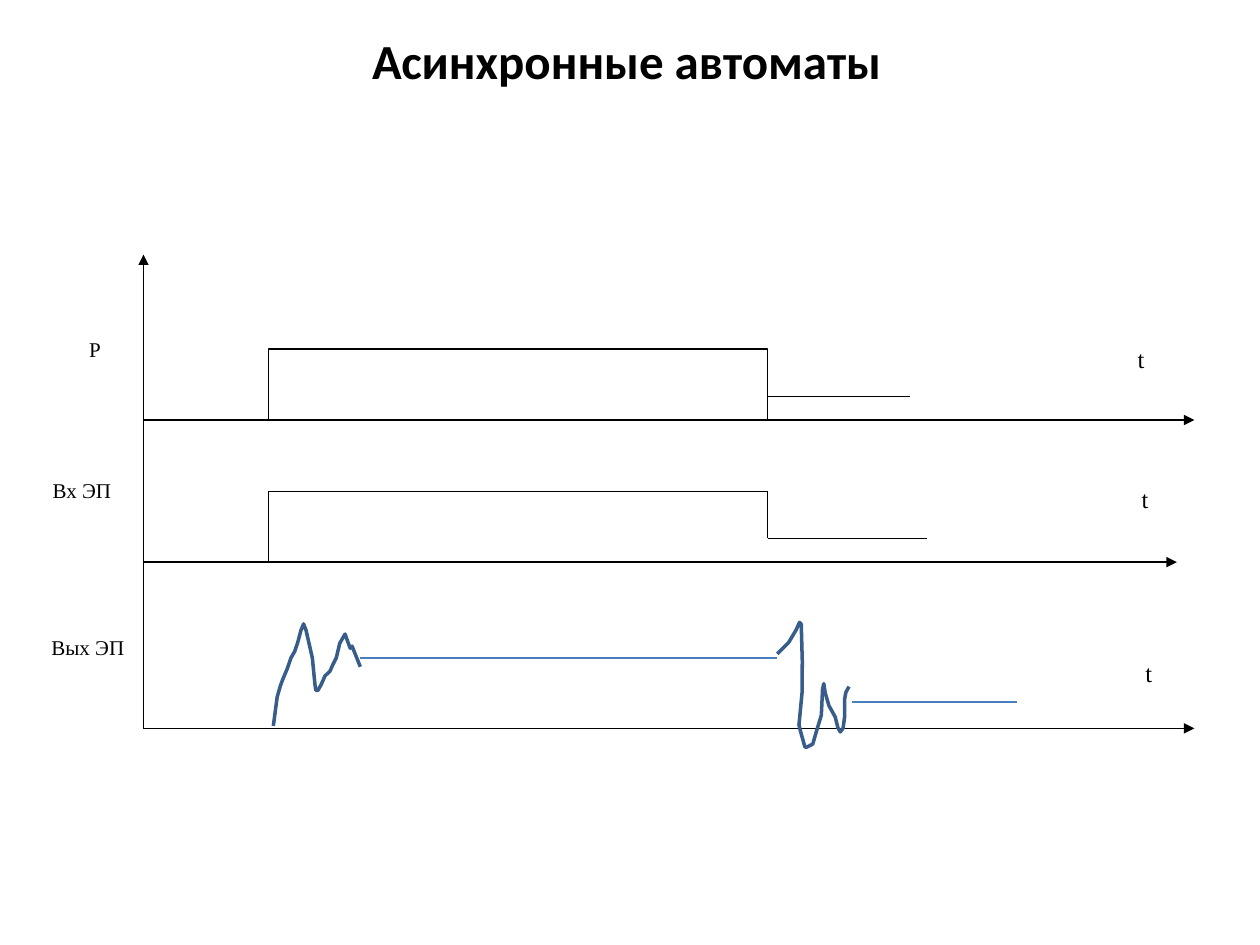
from itertools import pairwise

from lxml import etree
from pptx import Presentation
from pptx.dml.color import RGBColor
from pptx.enum.shapes import MSO_CONNECTOR, MSO_SHAPE
from pptx.enum.text import MSO_ANCHOR as Anchor, PP_ALIGN as Align
from pptx.oxml.ns import qn
from pptx.util import Pt

COLORS = {"ink": "000000", "paper": "FFFFFF", "level": "4A7EBB", "bounce": "385D8A"}
SERIF = "Times New Roman"

# Offsets from the top left corner of each burst of contact bounce
RISE_BOUNCE = [
    (0, 58.3), (2.2, 41.8), (4, 35.5), (5.3, 32), (8, 25.5), (10.1, 19.4), (12.2, 15.8),
    (14, 10.5), (15.8, 3.6), (17.3, 0), (18.7, 3.6), (22.3, 19.4), (23.8, 34.6),
    (24.3, 38), (25.5, 38), (27.4, 34.6), (29.5, 29.8), (32.4, 27), (33.8, 23.8),
    (36, 19.4), (38, 11), (41, 5.8), (42.5, 10.1), (44, 14), (45, 12.7), (49.7, 24.5),
]
FALL_BOUNCE = [
    (0, 18), (6.5, 11.5), (10.8, 4.3), (12.7, 0), (13.7, 1), (14.3, 22), (14.2, 40),
    (12.4, 58.6), (13.5, 63), (15.8, 71.2), (17, 71.2), (20.3, 69.5), (22.3, 62.6),
    (25.2, 53), (25.9, 38), (26.6, 35), (27.4, 40.3), (29.5, 47.5), (33.1, 54),
    (34.6, 60), (36, 62.6), (37.6, 60.5), (38.5, 54), (38.5, 44), (39.2, 40), (41, 36.7),
]


def rgb(name):
    return RGBColor.from_string(COLORS[name])


def add_text(slide, text, box, size, font=SERIF, align=Align.LEFT, bold=False, anchor=Anchor.TOP):
    frame = slide.shapes.add_textbox(*map(Pt, box)).text_frame
    frame.margin_left = frame.margin_right = frame.margin_top = frame.margin_bottom = 0
    frame.word_wrap = True
    frame.vertical_anchor = anchor
    paragraph = frame.paragraphs[0]
    paragraph.text = text
    paragraph.alignment = align
    paragraph.font.name = font
    paragraph.font.size = Pt(size)
    paragraph.font.bold = bold
    paragraph.font.color.rgb = rgb("ink")


def add_line(slide, start, end, color="ink", arrow=False):
    line = slide.shapes.add_connector(MSO_CONNECTOR.STRAIGHT, *map(Pt, (*start, *end)))
    line.line.color.rgb = rgb(color)
    line.line.width = Pt(0.75)
    if arrow:
        etree.SubElement(line.line._get_or_add_ln(), qn("a:tailEnd"), type="triangle")
    etree.SubElement(line._element.spPr, qn("a:effectLst"))


def add_steps(slide, points):
    for start, end in pairwise(points):
        add_line(slide, start, end)


def add_time_axis(slide, left, base, right, name, name_box, t_left, t_top, name_align):
    add_line(slide, (left, base), (right, base), arrow=True)
    add_text(slide, name, name_box, 12, align=name_align)
    add_text(slide, "t", (t_left, t_top, 15, 31), 14)


def add_pulse(slide, left, base, width, tail, filled=False):
    """Draw a pulse 40 pt high, which falls to a residual level of the given length."""
    top, step, right = base - 40.5, base - 13.5, left + width
    fall = [(right, top), (right, step), (right + tail, step)]
    if filled:
        body = slide.shapes.add_shape(
            MSO_SHAPE.RECTANGLE, *map(Pt, (left, top, width, base - top)))
        body.shadow.inherit = False
        body.fill.solid()
        body.fill.fore_color.rgb = rgb("paper")
        body.line.color.rgb = rgb("ink")
        body.line.width = Pt(0.75)
        add_steps(slide, fall)
    else:
        add_steps(slide, [(left, base), (left, top), *fall])


def add_bounce(slide, left, top, offsets):
    points = [(Pt(left + x), Pt(top + y)) for x, y in offsets]
    builder = slide.shapes.build_freeform(*points[0])
    builder.add_line_segments(points[1:], close=False)
    curve = builder.convert_to_shape()
    curve.shadow.inherit = False
    curve.fill.background()
    curve.line.color.rgb = rgb("bounce")
    curve.line.width = Pt(2)


def add_output_signal(slide, left, base):
    add_bounce(slide, left + 2.8, base - 59.7, RISE_BOUNCE)
    add_bounce(slide, left + 290.8, base - 60.5, FALL_BOUNCE)
    add_line(slide, (left + 52.5, base - 40.2), (left + 290.8, base - 40.2), "level")
    add_line(slide, (left + 333.3, base - 15), (left + 427.6, base - 15), "level")


def add_timing_diagram(slide, left, top, width, height):
    bottom = top + height
    p_base, input_base = bottom - 176.2, bottom - 95
    right, rise, pulse = left + width, left + 71.4, 285.2
    add_line(slide, (left, bottom), (left, top), arrow=True)
    add_time_axis(slide, left, p_base, right, "Р",
                  (left - 31, p_base - 47.6, 28, 31), right - 32.4, p_base - 43.2, Align.LEFT)
    add_time_axis(slide, left, input_base, right - 10, "Вх ЭП",
                  (left - 73.5, input_base - 48.2, 55, 31), right - 30.2, input_base - 44.6,
                  Align.RIGHT)
    add_time_axis(slide, left, bottom, right, "Вых ЭП",
                  (left - 72.5, bottom - 53.3, 61.5, 31), right - 28, bottom - 40.3, Align.RIGHT)
    add_pulse(slide, rise, p_base, pulse, 81.4, filled=True)
    add_pulse(slide, rise, input_base, pulse, 91.4)
    add_output_signal(slide, rise, bottom)


def main():
    deck = Presentation()
    deck.slide_width, deck.slide_height = Pt(720), Pt(540)
    slide = deck.slides.add_slide(deck.slide_layouts[6])
    add_text(slide, "Асинхронные автоматы", (34, 15, 648, 39), 28, "Calibri",
             Align.CENTER, bold=True, anchor=Anchor.MIDDLE)
    add_timing_diagram(slide, 82, 145.5, 600.5, 270.7)
    deck.save("out.pptx")


if __name__ == "__main__":
    main()
